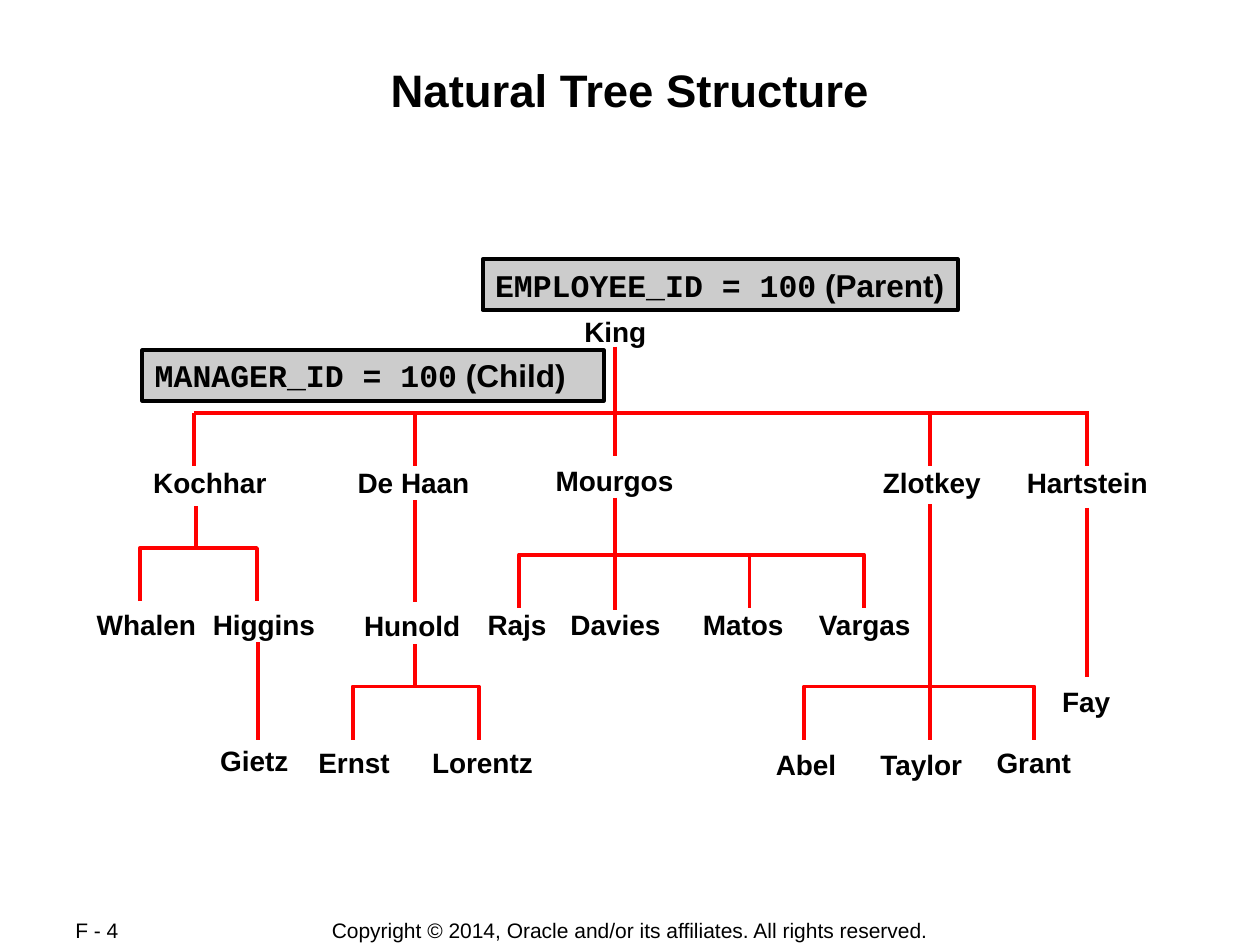
from lxml import etree
from pptx import Presentation
from pptx import util as u
from pptx.dml.color import RGBColor
from pptx.enum import shapes, text
from pptx.oxml import ns

BAR_Y = 8.33
CHILD_Y = 9.4
DROP = 1.07
LABEL_HEIGHT = 0.94

LABELS = [
    ("King", 11.53, 6.22, 1.75),
    ("Kochhar", 2.84, 9.27, 2.79), ("De Haan", 6.96, 9.27, 2.77),
    ("Mourgos", 10.95, 9.22, 2.9), ("Zlotkey", 17.55, 9.27, 2.49),
    ("Hartstein", 20.45, 9.27, 2.95),
    ("Whalen", 1.7, 12.12, 2.51), ("Higgins", 4.04, 12.12, 2.57),
    ("Hunold", 7.09, 12.14, 2.46), ("Rajs", 9.58, 12.12, 1.7),
    ("Davies", 11.25, 12.12, 2.34), ("Matos", 13.92, 12.12, 2.13),
    ("Vargas", 16.26, 12.12, 2.39), ("Fay", 21.16, 13.67, 1.65),
    ("Gietz", 4.19, 14.86, 1.88), ("Ernst", 6.17, 14.91, 1.96),
    ("Lorentz", 8.46, 14.91, 2.54), ("Abel", 15.39, 14.94, 1.73),
    ("Taylor", 17.5, 14.94, 2.21), ("Grant", 19.84, 14.91, 2.01),
]
BAR_SEGMENTS = [(3.91, 8.33), (7.52, 14.5), (14.5, 21.95)]
STEMS = [
    (12.4, 6.99, BAR_Y), (12.4, BAR_Y, 9.19),
    (3.91, BAR_Y, CHILD_Y), (8.36, BAR_Y, CHILD_Y),
    (18.75, BAR_Y, CHILD_Y), (21.92, BAR_Y, CHILD_Y),
    (3.96, 10.21, 11.05), (8.36, 10.08, 12.14),
    (12.4, 10.03, 11.3), (12.4, 11.23, 12.29),
    (18.75, 10.16, 13.84), (18.75, 13.84, 14.91),
    (21.92, 10.24, 10.87), (21.92, 10.87, 13.64),
    (5.21, 12.95, 14.91), (8.36, 12.98, 13.84),
]
BRACKETS = [
    (2.82, 5.18, 11.05), (10.46, 15.11, 11.18), (15.11, 17.42, 11.18),
    (7.11, 9.65, 13.84), (16.21, 20.85, 13.84),
]


def color(value):
    return RGBColor.from_string(value)


class TreeSlide:
    font = "Arial"
    code_font = "Courier New"
    ink = "000000"
    branch = "FF0000"
    panel = "CCCCCC"
    line_width = u.Pt(2.25)

    def __init__(self, presentation):
        self.slide = presentation.slides.add_slide(presentation.slide_layouts[5])

    def add_run(self, paragraph, words, size, bold=True, font=None):
        run = paragraph.add_run()
        run.text = words
        run.font.name = font or self.font
        run.font.size = u.Pt(size)
        run.font.bold = bold
        run.font.color.rgb = color(self.ink)

    def style_line(self, line, value):
        line.color.rgb = color(value)
        line.width = self.line_width

    def title(self, words):
        shape = self.slide.shapes.title
        shape.left, shape.top = u.Cm(1.7), u.Cm(1.22)
        shape.width, shape.height = u.Cm(22), u.Cm(2.44)
        frame = shape.text_frame
        frame.auto_size = text.MSO_AUTO_SIZE.NONE
        frame.vertical_anchor = text.MSO_ANCHOR.TOP
        frame.margin_left = frame.margin_right = u.Cm(0.03)
        frame.margin_top = frame.margin_bottom = u.Cm(0.03)
        paragraph = frame.paragraphs[0]
        paragraph.alignment = text.PP_ALIGN.CENTER
        self.add_run(paragraph, words, 26)

    def label(self, words, left, top, width):
        shape = self.slide.shapes.add_textbox(
            u.Cm(left), u.Cm(top), u.Cm(width), u.Cm(LABEL_HEIGHT))
        frame = shape.text_frame
        frame.word_wrap = False
        frame.auto_size = text.MSO_AUTO_SIZE.SHAPE_TO_FIT_TEXT
        self.add_run(frame.paragraphs[0], words, 16)

    def footer(self, words, left, width, alignment):
        shape = self.slide.shapes.add_textbox(
            u.Cm(left), u.Cm(18.49), u.Cm(width), u.Cm(0.53))
        frame = shape.text_frame
        frame.word_wrap = True
        frame.vertical_anchor = text.MSO_ANCHOR.MIDDLE
        paragraph = frame.paragraphs[0]
        paragraph.alignment = alignment
        self.add_run(paragraph, words, 12, bold=False)

    def key_box(self, code, role, left, top, width, wrap):
        shape = self.slide.shapes.add_shape(
            shapes.MSO_SHAPE.RECTANGLE,
            u.Cm(left), u.Cm(top), u.Cm(width), u.Cm(1.02))
        shape.shadow.inherit = False
        shape.fill.solid()
        shape.fill.fore_color.rgb = color(self.panel)
        self.style_line(shape.line, self.ink)
        frame = shape.text_frame
        frame.word_wrap = wrap
        frame.auto_size = text.MSO_AUTO_SIZE.SHAPE_TO_FIT_TEXT
        frame.vertical_anchor = text.MSO_ANCHOR.TOP
        paragraph = frame.paragraphs[0]
        paragraph.alignment = text.PP_ALIGN.LEFT
        self.add_run(paragraph, code, 18, font=self.code_font)
        self.add_run(paragraph, role, 18)

    def line(self, x1, y1, x2, y2):
        connector = self.slide.shapes.add_connector(
            shapes.MSO_CONNECTOR.STRAIGHT,
            u.Cm(x1), u.Cm(y1), u.Cm(x2), u.Cm(y2))
        self.style_line(connector.line, self.branch)
        etree.SubElement(connector._element.spPr, ns.qn("a:effectLst"))

    def bracket(self, left, right, top):
        bottom = top + DROP
        builder = self.slide.shapes.build_freeform(u.Cm(left), u.Cm(bottom))
        corners = [(left, top), (right, top), (right, bottom)]
        builder.add_line_segments(
            [(u.Cm(x), u.Cm(y)) for x, y in corners], close=False)
        shape = builder.convert_to_shape()
        shape.shadow.inherit = False
        shape.fill.background()
        self.style_line(shape.line, self.branch)


def main():
    presentation = Presentation()
    presentation.slide_width, presentation.slide_height = u.Cm(25.4), u.Cm(19.05)
    tree = TreeSlide(presentation)
    tree.title("Natural Tree Structure")
    for left, right in BAR_SEGMENTS:
        tree.line(left, BAR_Y, right, BAR_Y)
    for x, top, bottom in STEMS:
        tree.line(x, top, x, bottom)
    for left, right, top in BRACKETS:
        tree.bracket(left, right, top)
    tree.key_box("EMPLOYEE_ID = 100", " (Parent)", 9.73, 5.23, 9.58, False)
    tree.key_box("MANAGER_ID = 100", " (Child)", 2.87, 7.06, 9.3, True)
    for words, left, top, width in LABELS:
        tree.label(words, left, top, width)
    tree.footer("F - 4", 1.27, 2.69, text.PP_ALIGN.LEFT)
    tree.footer(
        "Copyright © 2014, Oracle and/or its affiliates. All rights reserved.",
        6.2, 13, text.PP_ALIGN.CENTER)
    presentation.save("out.pptx")


if __name__ == "__main__":
    main()
